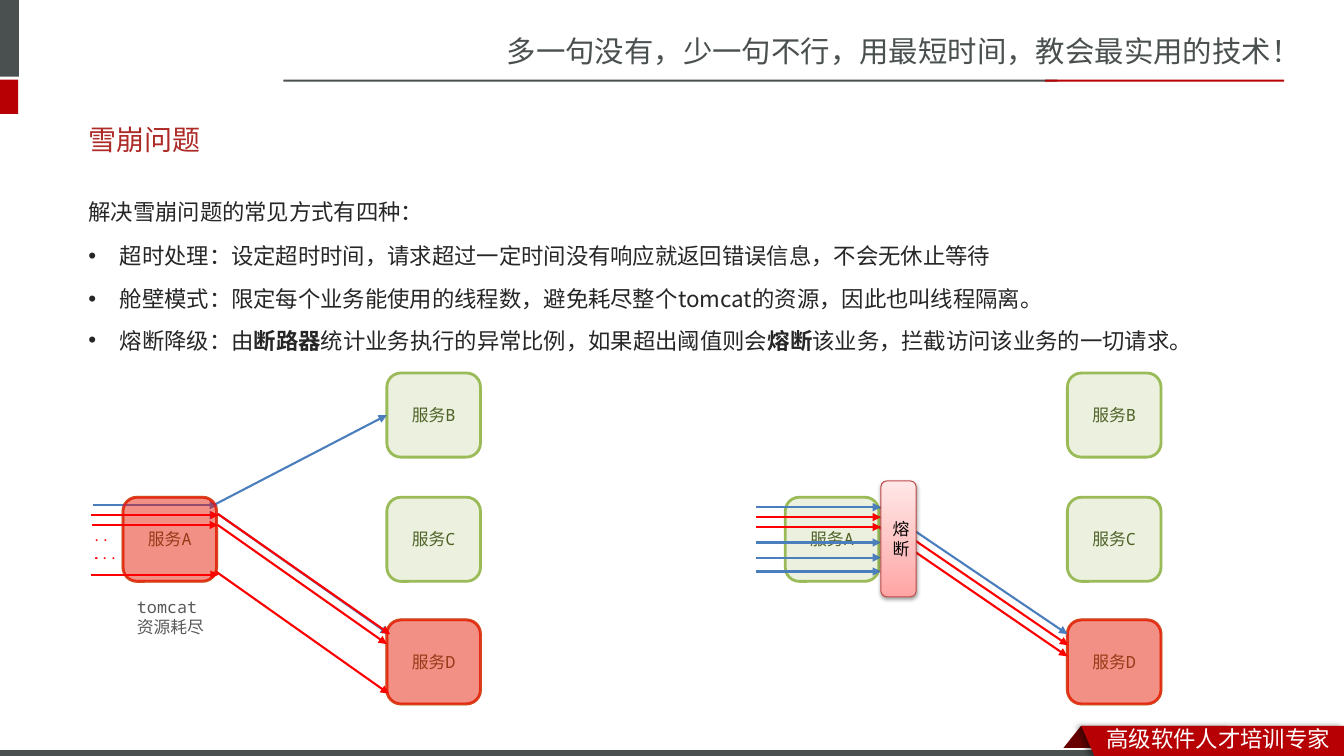
from lxml import etree
from pptx import Presentation
from pptx.dml.color import RGBColor
from pptx.enum.shapes import MSO_CONNECTOR, MSO_SHAPE
from pptx.enum.text import MSO_ANCHOR, PP_ALIGN
from pptx.oxml.ns import qn
from pptx.util import Cm, Pt

STRAIGHT = MSO_CONNECTOR.STRAIGHT
RECT, ROUNDED = MSO_SHAPE.RECTANGLE, MSO_SHAPE.ROUNDED_RECTANGLE
PARALLELOGRAM = MSO_SHAPE.PARALLELOGRAM
MIDDLE = MSO_ANCHOR.MIDDLE
LEFT, CENTER = PP_ALIGN.LEFT, PP_ALIGN.CENTER

COLORS = {
    "white": "FFFFFF", "black": "000000", "slate": "49504F", "brand": "B60004",
    "fold": "680000", "title": "AD2A26", "body": "262626", "note": "595959",
    "healthy": "EBF1DE", "healthy_edge": "9BBB59", "healthy_text": "4F6228",
    "ok": "4B7EBC", "fail": "FF0000",
    "fuse_low": "FFA6A5", "fuse_high": "FFE7E7", "fuse_edge": "BF4C48",
}
SC, JP, MONO = "Noto Sans CJK SC", "Noto Sans CJK JP", "Noto Sans Mono"
FORMATS = {
    "motto": {"size": Pt(21), "name": SC, "color": "slate"},
    "banner": {"size": Pt(16), "name": SC, "color": "white"},
    "title": {"size": Pt(20), "name": "Calibri", "color": "title", "bold": False},
    "body": {"size": Pt(16), "name": JP, "color": "body", "bold": False},
    "strong": {"size": Pt(16), "name": JP, "color": "body", "bold": True},
    "service": {"size": Pt(12), "name": MONO, "color": "healthy_text"},
    "fuse": {"size": Pt(12), "name": MONO, "color": "black"},
    "note": {"size": Pt(12), "name": MONO, "color": "note"},
    "dots": {"size": Pt(10.5), "name": MONO, "color": "fail"},
}
METHODS = [
    (4.52, [("解决雪崩问题的常见方式有四种：",),
            ("超时处理：设定超时时间，请求超过一定时间没有响应就返回错误信息，不会无休止等待",)]),
    (6.73, [("舱壁模式：限定每个业务能使用的线程数，避免耗尽整个tomcat的资源，因此也叫线程隔离。",)]),
    (7.77, [("熔断降级：由", "断路器", "统计业务执行的异常比例，如果超出阈值则会",
             "熔断", "该业务，拦截访问该业务的一切请求。")]),
]
SERVICE_SIZE = (2.36, 2.12)
A_TOP = 3.13
SERVICE_TOPS = {"服务B": 0, "服务C": 3.13, "服务D": 6.22}


def rgb(color):
    return RGBColor.from_string(COLORS[color])


def add_run(paragraph, text, format_name):
    run = paragraph.add_run()
    run.text = text
    for key, value in FORMATS[format_name].items():
        if key == "color":
            run.font.color.rgb = rgb(value)
        else:
            setattr(run.font, key, value)
    east_asian = etree.SubElement(run.font._element, qn("a:ea"))
    east_asian.set("typeface", JP if run.font.name == JP else SC)


def set_alpha(fill_parent, percent):
    color = fill_parent.find(qn("a:solidFill"))[0]
    etree.SubElement(color, qn("a:alpha")).set("val", str(percent * 1000))


def add_shadow(shape, alpha, blur, distance, angle):
    effects = shape._element.spPr.find(qn("a:effectLst"))
    shadow = etree.SubElement(effects, qn("a:outerShdw"), blurRad=str(Pt(blur)),
                              dist=str(Pt(distance)), dir=str(angle * 60000))
    color = etree.SubElement(shadow, qn("a:srgbClr"), val=COLORS["black"])
    etree.SubElement(color, qn("a:alpha")).set("val", str(alpha * 1000))


def paint(shape, fill, edge=None, width=2):
    shape.shadow.inherit = False
    shape.fill.solid()
    shape.fill.fore_color.rgb = rgb(fill)
    if edge:
        shape.line.color.rgb = rgb(edge)
        shape.line.width = Pt(width)
    else:
        shape.line.fill.background()


def add_block(slide, kind, box, fill, edge=None):
    block = slide.shapes.add_shape(kind, *map(Cm, box))
    paint(block, fill, edge)
    return block


def write_centred(shape, text, format_name):
    frame = shape.text_frame
    frame.word_wrap = True
    frame.vertical_anchor = MIDDLE
    frame.paragraphs[0].alignment = CENTER
    add_run(frame.paragraphs[0], text, format_name)


def add_label(slide, box, text, format_name):
    frame = slide.shapes.add_textbox(*map(Cm, box)).text_frame
    frame.word_wrap = True
    add_run(frame.paragraphs[0], text, format_name)


def add_service(slide, left, top, name):
    service = add_block(slide, ROUNDED, (left, top, *SERVICE_SIZE), "healthy", "healthy_edge")
    write_centred(service, name, "service")


def add_failure(slide, left, top):
    """Lay a translucent red cover over a service."""
    cover = add_block(slide, ROUNDED, (left, top, *SERVICE_SIZE), "fail", "fail")
    set_alpha(cover._element.spPr, 40)
    set_alpha(cover.line._get_or_add_ln(), 64)


def add_arrows(slide, left, top, color, arrows):
    for x1, y1, x2, y2 in arrows:
        arrow = slide.shapes.add_connector(
            STRAIGHT, Cm(left + x1), Cm(top + y1), Cm(left + x2), Cm(top + y2))
        arrow.line.color.rgb = rgb(color)
        arrow.line.width = Pt(1.5)
        etree.SubElement(arrow.line._get_or_add_ln(), qn("a:tailEnd"), type="triangle")
        etree.SubElement(arrow._element.spPr, qn("a:effectLst"))


def add_services(slide, left, top, a_left, others_left):
    add_service(slide, left + a_left, top + A_TOP, "服务A")
    for name, offset in SERVICE_TOPS.items():
        add_service(slide, left + others_left, top + offset, name)


def draw_frame(slide, width, height):
    fold = add_block(slide, PARALLELOGRAM, (width - 7.23, height - 0.76, 4.27, 0.76), "fold")
    fold.adjustments[0] = 0.796
    for box, color in [
        ((0, height - 0.2, width, 0.2), "white"),
        ((0, 0, 0.48, 1.93), "slate"),
        ((0, 2.01, 0.46, 0.86), "brand"),
        ((7.14, 2.01, 19.51, 0.05), "slate"),
        ((26.34, 2.01, 6.02, 0.05), "brand"),
        ((0, height - 0.15, 27.91, 0.15), "slate"),
    ]:
        add_block(slide, RECT, box, color)
    add_label(slide, (12.52, 0.71, 21.36, 1.19), "多一句没有，少一句不行，用最短时间，教会最实用的技术！", "motto")
    outline = slide.shapes.build_freeform(Cm(width - 6.62), Cm(height - 0.76))
    outline.add_line_segments([(Cm(width), Cm(height - 0.76)), (Cm(width), Cm(height)),
                               (Cm(width - 6.29), Cm(height))])
    banner = outline.convert_to_shape()
    paint(banner, "brand")
    add_shadow(banner, 40, 4, 3, 180)
    add_label(slide, (width - 6.23, height - 0.89, 6.22, 0.94), "高级软件人才培训专家", "banner")


def write_title(slide, left, top, width, height):
    title = slide.shapes.title
    title.left, title.top, title.width, title.height = map(Cm, (left, top, width, height))
    title.text_frame.vertical_anchor = MIDDLE
    title.text_frame.paragraphs[0].alignment = LEFT
    add_run(title.text_frame.paragraphs[0], "雪崩问题", "title")


def write_methods(slide, left, width):
    for top, paragraphs in METHODS:
        frame = slide.shapes.add_textbox(Cm(left), Cm(top), Cm(width), Cm(1.24 * len(paragraphs))).text_frame
        frame.word_wrap = True
        for index, parts in enumerate(paragraphs):
            paragraph = frame.add_paragraph() if index else frame.paragraphs[0]
            if not parts[0].startswith("解决"):
                properties = paragraph._p.get_or_add_pPr()
                properties.set("marL", str(Cm(0.79)))
                properties.set("indent", str(-Cm(0.79)))
                etree.SubElement(properties, qn("a:buFont"), typeface="Arial")
                etree.SubElement(properties, qn("a:buChar"), char="•")
            paragraph.line_spacing = 1.5
            if index:
                paragraph.space_before = Pt(3.2)
            for position, part in enumerate(parts):
                add_run(paragraph, part, "strong" if position % 2 else "body")


def draw_exhaustion(slide, left, top):
    add_services(slide, left, top, 1.07, 7.72)
    add_arrows(slide, left, top, "ok", [
        (0.31, 3.33, 3.46, 3.33), (3.35, 3.33, 7.72, 1.06),
        (0.31, 3.58, 3.46, 3.58), (3.46, 3.55, 7.77, 6.58)])
    add_failure(slide, left + 7.72, top + SERVICE_TOPS["服务D"])
    add_arrows(slide, left, top, "fail", [
        (0.26, 3.58, 3.48, 3.58), (3.46, 3.55, 7.8, 6.58),
        (0.28, 3.83, 3.46, 3.83), (3.46, 3.83, 7.72, 6.83),
        (0.26, 5.08, 3.48, 5.08), (3.41, 5, 7.77, 8.08)])
    add_label(slide, (left + 0.05, top + 3.76, 1.14, 0.71), "...", "dots")
    add_failure(slide, left + 1.07, top + A_TOP)
    add_label(slide, (left + 0.03, top + 4.21, 1.19, 0.71), "...", "dots")
    add_label(slide, (left + 1.17, top + 5.51, 2.3, 1.27), "tomcat资源耗尽", "note")


def draw_circuit_breaker(slide, left, top):
    add_services(slide, left, top, 0.74, 7.85)
    add_failure(slide, left + 7.85, top + SERVICE_TOPS["服务D"])
    requests = {"ok": (3.38, 4.27, 4.65, 5), "fail": (3.63, 3.88)}
    forwarded = {"ok": [(3.12, 3.38, 7.85, 6.58)],
                 "fail": [(3.15, 3.63, 7.87, 6.86), (3.1, 3.88, 7.85, 7.14)]}
    for color, rows in requests.items():
        add_arrows(slide, left, top, color, [(0, y, 3.15, y) for y in rows] + forwarded[color])
    fuse = add_block(slide, ROUNDED, (left + 3.15, top + 2.72, 0.89, 2.92), "fuse_low", "fuse_edge")
    fuse.line.width = Pt(0.75)
    fuse.fill.gradient()
    fuse.fill.gradient_angle = 90
    for stop, position, color in zip(fuse.fill.gradient_stops, (0, 1), ("fuse_low", "fuse_high")):
        stop.position = position
        stop.color.rgb = rgb(color)
    add_shadow(fuse, 38, 3.1, 1.6, 90)
    write_centred(fuse, "熔断", "fuse")


def main():
    deck = Presentation()
    width, height = 33.87, 19.05
    deck.slide_width, deck.slide_height = Cm(width), Cm(height)
    slide = deck.slides.add_slide(deck.slide_layouts[5])
    draw_frame(slide, width, height)
    write_title(slide, 1.98, 2.79, 29.72, 1.45)
    write_methods(slide, 1.98, 29.72)
    draw_exhaustion(slide, 2.03, 9.4)
    draw_circuit_breaker(slide, 19.05, 9.4)
    deck.save("out.pptx")


if __name__ == "__main__":
    main()
